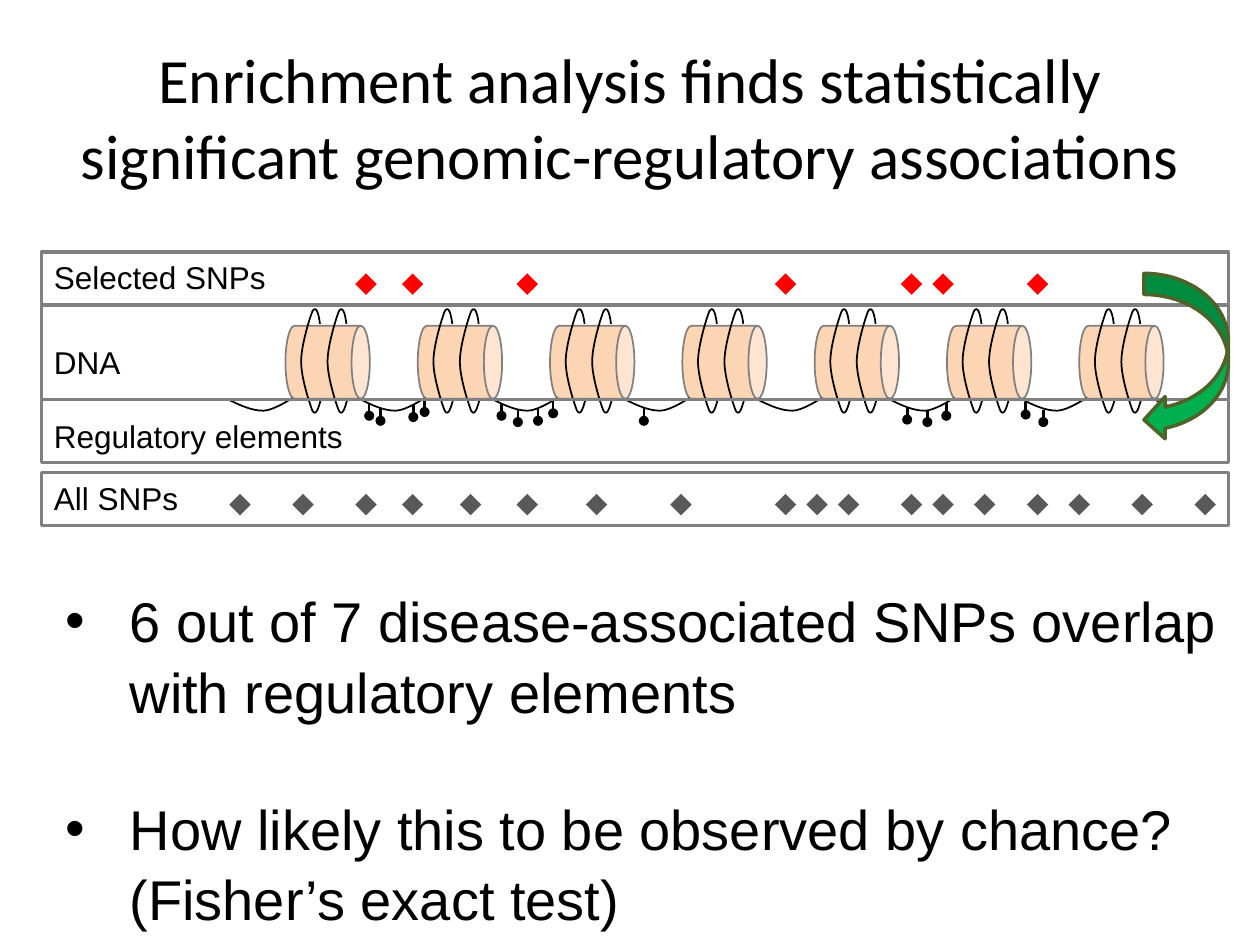
from dataclasses import dataclass

from lxml.etree import SubElement
from pptx import Presentation
from pptx.dml.color import RGBColor
from pptx.enum.shapes import MSO_CONNECTOR, MSO_SHAPE
from pptx.enum.text import MSO_ANCHOR, PP_ALIGN
from pptx.oxml.ns import qn
from pptx.util import Inches, Pt


@dataclass(frozen=True)
class Theme:
    black: str = "000000"
    grey: str = "808080"
    peach: str = "FCD5B5"
    selected: str = "FF0000"
    all_snps: str = "595959"
    green: str = "00B050"
    olive: str = "4F6228"
    title_font: str = "Calibri"
    body_font: str = "Arial"
    title: int = 36
    body: int = 32
    label: int = 18


theme = Theme()
prs = Presentation()
prs.slide_width, prs.slide_height = Inches(10), Inches(7.5)
shapes = prs.slides.add_slide(prs.slide_layouts[6]).shapes


def add_text(box, paragraphs, size, font=theme.body_font, align=PP_ALIGN.LEFT,
             anchor=MSO_ANCHOR.TOP, wrap=True, bullet=False):
    tf = shapes.add_textbox(*map(Inches, box)).text_frame
    tf.word_wrap, tf.vertical_anchor = wrap, anchor
    for i, text in enumerate(paragraphs):
        p = tf.add_paragraph() if i else tf.paragraphs[0]
        p.alignment = align
        r = p.add_run()
        r.text = text
        r.font.name, r.font.size = font, Pt(size)
        r.font.color.rgb = RGBColor.from_string(theme.black)
        if bullet:
            p.line_spacing = 1.05
            p.space_before = Pt(38 if i else 0)
            pPr = p._p.get_or_add_pPr()
            pPr.set("marL", str(Inches(0.51)))
            pPr.set("indent", str(-Inches(0.51)))
            SubElement(pPr, qn("a:buFont"), typeface="Arial")
            SubElement(pPr, qn("a:buChar"), char="•")


def add_preset(kind, box, fill=None, line=None, width=1):
    sp = shapes.add_shape(kind, *map(Inches, box))
    sp.shadow.inherit = False
    if fill:
        sp.fill.solid()
        sp.fill.fore_color.rgb = RGBColor.from_string(fill)
    else:
        sp.fill.background()
    if line:
        sp.line.color.rgb = RGBColor.from_string(line)
        sp.line.width = Pt(width)
    else:
        sp.line.fill.background()
    return sp


# Nucleosomes, with the DNA strand coiled around and linking them
PITCH = 1.05
COIL = [(0.15, 0.15), (0.14, 0.07), (0.12, 0), (0.09, 0.05),
        (0.07, 0.1), (0, 0.32), (0, 0.45),
        (0, 0.58), (0.07, 0.79), (0.09, 0.84),
        (0.12, 0.89), (0.14, 0.81), (0.16, 0.74)]
LINKER = [(0, 0.01), (0.1, 0.06), (0.19, 0.1), (0.28, 0.1),
          (0.36, 0.1), (0.51, 0), (0.51, 0)]
strands = [(1.81 + PITCH * i, 3.16, LINKER) for i in range(8)]
for i in range(7):
    x = 2.31 + PITCH * i
    add_preset(MSO_SHAPE.CAN, (x, 2.54, 0.58, 0.67), theme.peach, theme.grey).rotation = 90
    strands += [(x + dx, 2.42, COIL) for dx in (0.08, 0.29)]

for x, y, curve in strands:
    start, *points = [(Inches(x + dx), Inches(y + dy)) for dx, dy in curve]
    builder = shapes.build_freeform(*start)
    builder.add_line_segments(points, close=False)
    sp = builder.convert_to_shape()
    sp.shadow.inherit = False
    sp.fill.background()
    sp.line.color.rgb = RGBColor.from_string(theme.black)
    sp.line.width = Pt(1)
    # Each three points become one cubic Bézier segment
    segments = list(sp.element.iter(qn("a:lnTo")))
    path = segments[0].getparent()
    for j in range(0, len(segments), 3):
        bezier = SubElement(path, qn("a:cubicBezTo"))
        for segment in segments[j:j + 3]:
            bezier.append(segment[0])
            path.remove(segment)

# Regulatory elements: a stem with a round head
PINS = [(2.93, 3.2), (3.02, 3.24), (3.28, 3.21), (3.37, 3.17), (3.98, 3.2),
        (4.11, 3.25), (4.27, 3.24), (4.39, 3.18), (5.11, 3.24), (7.2, 3.23),
        (7.36, 3.25), (7.51, 3.2), (8.28, 3.25), (8.14, 3.19)]
for x, y in PINS:
    add_preset(MSO_SHAPE.OVAL, (x - 0.04, y + 0.06, 0.08, 0.08), theme.black)
    stem = shapes.add_connector(MSO_CONNECTOR.STRAIGHT, *map(Inches, (x, y, x, y + 0.08)))
    stem.line.color.rgb = RGBColor.from_string(theme.black)
    stem.line.width = Pt(1.5)
    SubElement(stem.element.spPr, qn("a:effectLst"))

# SNPs
SELECTED = [2.82, 3.19, 4.1, 6.15, 7.15, 7.4, 8.15]
OTHERS = [1.82, 2.32, 3.65, 4.65, 5.32, 6.4, 6.65, 7.73, 8.48, 8.98, 9.48]
for y, color, lefts in [(2.17, theme.selected, SELECTED),
                        (3.92, theme.all_snps, sorted(SELECTED + OTHERS))]:
    for x in lefts:
        add_preset(MSO_SHAPE.DIAMOND, (x, y, 0.17, 0.17), color)

# Tracks: label, label top, frame top, frame height
TRACKS = [("DNA", 2.67, 2.42, 0.75), ("Regulatory elements", 3.26, 3.17, 0.5),
          ("All SNPs", 3.75, 3.75, 0.42), ("Selected SNPs", 2, 2, 0.42)]
for label, label_top, top, height in TRACKS:
    add_text((0.33, label_top, 2.52, 0.4), [label], theme.label, wrap=False)
    add_preset(MSO_SHAPE.RECTANGLE, (0.33, top, 9.42, height), line=theme.grey, width=2)

add_text((0.5, 0.3, 9, 1.25),
         ["Enrichment analysis finds statistically significant genomic-regulatory associations"],
         theme.title, font=theme.title_font, align=PP_ALIGN.CENTER, anchor=MSO_ANCHOR.MIDDLE)
add_text((0.42, 4.58, 9.42, 2.79),
         ["6 out of 7 disease-associated SNPs overlap with regulatory elements",
          "How likely this to be observed by chance? (Fisher’s exact test)"],
         theme.body, bullet=True)

arrow = add_preset(MSO_SHAPE.CURVED_RIGHT_ARROW, (9.08, 2.17, 0.67, 1.33),
                   theme.green, theme.olive, 2)
arrow.element.spPr.xfrm.set("flipH", "1")

prs.save("out.pptx")
